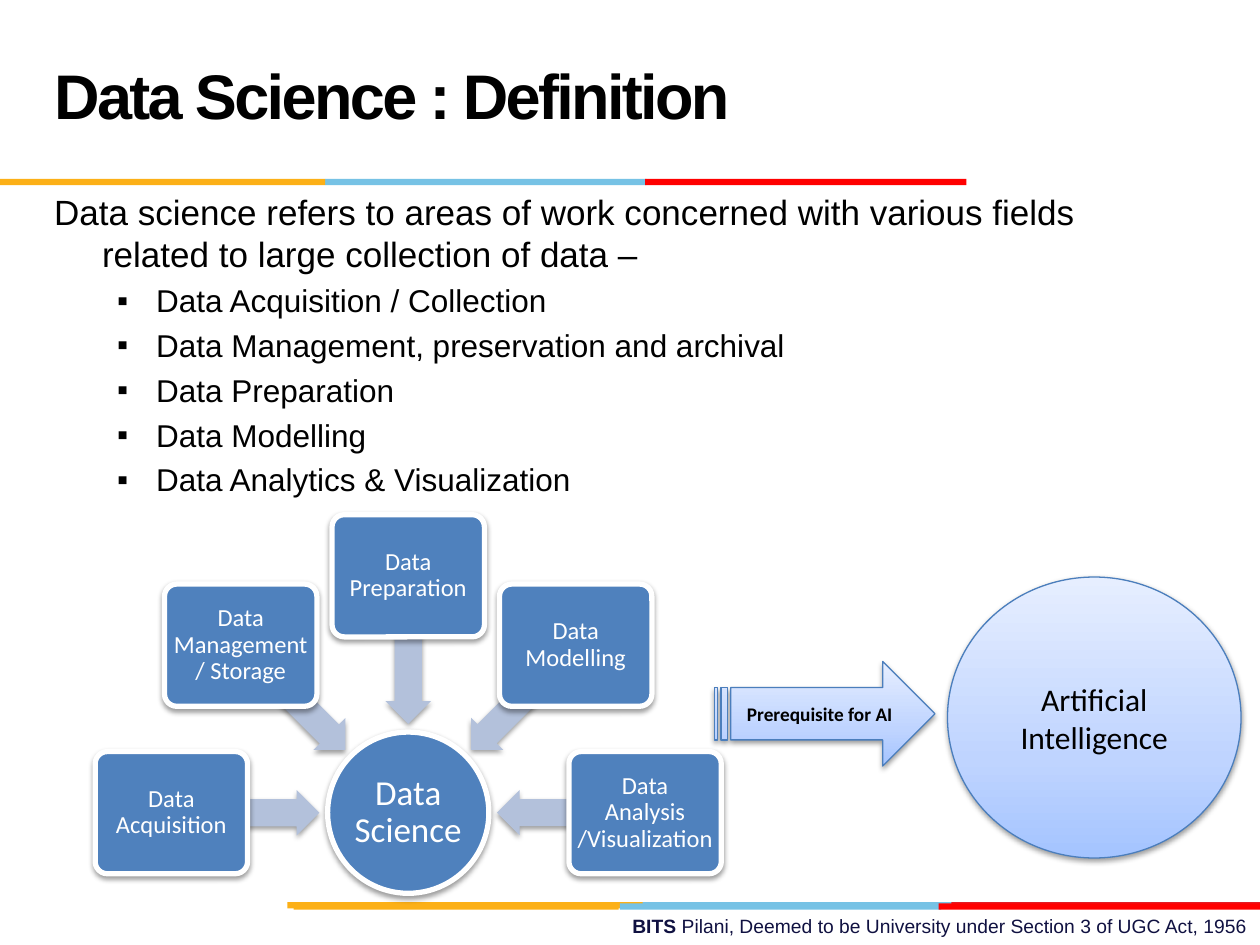
from math import cos, radians, sin

from pptx import Presentation
from pptx.dml.color import RGBColor
from pptx.enum.shapes import MSO_SHAPE as Shape
from pptx.enum.text import MSO_ANCHOR as Anchor, MSO_AUTO_SIZE as AutoSize, PP_ALIGN as Align
from pptx.oxml import parse_xml
from pptx.oxml.ns import nsdecls, qn
from pptx.util import Pt

PX = 9144
COLORS = {
    "black": "000000", "white": "FFFFFF", "navy": "101141",
    "amber": "FCB017", "sky": "76C2E5", "red": "FF0000", "crimson": "E31C24",
    "blue": "4F81BD", "arrow": "B3C1DB", "edge": "4B7EBC",
    "deep": "A4C4FF", "mid": "BFD4FF", "pale": "E6EEFF",
}
BARS = [
    (506, 716, 255, "sky"), (755, 716, 245, "crimson"), (228, 716, 282, "amber"),
    (492, 717, 255, "sky"), (233, 717, 258, "amber"), (745, 717, 255, "red"),
    (258, 142, 255, "sky"), (0, 142, 258, "amber"), (512, 142, 255, "red"),
]
INTRO = ("Data science refers to areas of work concerned with various fields "
         "related to large collection of data –")
TOPICS = [
    "Data Acquisition / Collection",
    "Data Management, preservation and archival",
    "Data Preparation",
    "Data Modelling",
    "Data Analytics & Visualization",
]
STEPS = [
    "Data Acquisition", "Data Management / Storage", "Data Preparation",
    "Data Modelling", "Data Analysis /Visualization",
]
HUB_X, HUB_Y = 324, 645
BOX_RADIUS, ARROW_RADIUS = 188, 129


class SlideBuilder:
    def __init__(self, slide):
        self.slide = slide

    def color(self, name):
        return RGBColor.from_string(COLORS[name])

    def place(self, item, left, top, width, height):
        item.left, item.top = round(left * PX), round(top * PX)
        item.width, item.height = width * PX, height * PX

    def font(self, target, size, color="black", name="Arial", bold=False):
        target.font.size = Pt(size)
        target.font.name = name
        target.font.bold = bold
        target.font.color.rgb = self.color(color)

    def title(self, text, area):
        title = self.slide.shapes.title
        self.place(title, *area)
        frame = title.text_frame
        frame.text = text
        frame.auto_size = AutoSize.NONE
        frame.vertical_anchor = Anchor.MIDDLE
        para = frame.paragraphs[0]
        para.alignment = Align.LEFT
        para.line_spacing = Pt(36)
        self.font(para, 36, bold=True)
        para.runs[0].font._element.set("spc", "-150")

    def body(self, intro, topics, area):
        body = self.slide.placeholders[1]
        self.place(body, *area)
        frame = body.text_frame
        frame.auto_size = AutoSize.NONE
        frame.text = intro
        para = frame.paragraphs[0]
        self.indent(para, 38, -38, "<a:buNone %s/>")
        para.space_before = Pt(0)
        self.font(para, 20)
        for topic in topics:
            para = frame.add_paragraph()
            para.text = topic
            para.level = 1
            self.indent(para, 81, -31, '<a:buChar %s char="▪"/>')
            para.space_before = Pt(4)
            self.font(para, 18)

    def indent(self, para, margin, hanging, bullet):
        properties = para._p.get_or_add_pPr()
        properties.set("marL", str(margin * PX))
        properties.set("indent", str(hanging * PX))
        properties.append(parse_xml(bullet % nsdecls("a")))

    def footer(self, area, lead, rest):
        box = self.slide.shapes.add_textbox(0, 0, 0, 0)
        self.place(box, *area)
        box.text_frame.word_wrap = True
        para = box.text_frame.paragraphs[0]
        para.alignment = Align.RIGHT
        for text, bold in ((lead, True), (rest, False)):
            span = para.add_run()
            span.text = text
            self.font(span, 11, "navy", bold=bold)

    def shape(self, kind, area, fill=None, line=None, weight=0, shadow=True):
        shape = self.slide.shapes.add_shape(kind, 0, 0, 0, 0)
        self.place(shape, *area)
        shape.shadow.inherit = False
        if shadow:
            self.drop_shadow(shape)
        if fill:
            shape.fill.solid()
            shape.fill.fore_color.rgb = self.color(fill)
        else:
            self.gradient(shape)
        if line:
            shape.line.color.rgb = self.color(line)
            shape.line.width = Pt(weight)
        else:
            shape.line.fill.background()
        return shape

    def drop_shadow(self, shape):
        effects = shape._element.spPr.find(qn("a:effectLst"))
        effects.append(parse_xml(
            f'<a:outerShdw {nsdecls("a")} blurRad="{Pt(3.1)}" dist="{Pt(1.6)}" '
            f'dir="5400000" rotWithShape="0"><a:srgbClr val="{COLORS["black"]}">'
            '<a:alpha val="38000"/></a:srgbClr></a:outerShdw>'))

    def gradient(self, shape):
        shape.fill.gradient()
        shape.fill.gradient_angle = 90
        stops = shape._element.spPr.find(".//" + qn("a:gsLst"))
        for stop in list(stops):
            stops.remove(stop)
        for position, name in ((0, "deep"), (35, "mid"), (100, "pale")):
            stops.append(parse_xml(
                f'<a:gs {nsdecls("a")} pos="{position * 1000}">'
                f'<a:srgbClr val="{COLORS[name]}"/></a:gs>'))

    def label(self, shape, text, size, color="black", bold=False, inset=None, spacing=None):
        frame = shape.text_frame
        frame.text = text
        frame.word_wrap = True
        frame.vertical_anchor = Anchor.MIDDLE
        if inset is not None:
            frame.margin_left = frame.margin_right = inset * PX
            frame.margin_top = frame.margin_bottom = inset * PX
        para = frame.paragraphs[0]
        para.alignment = Align.CENTER
        if spacing:
            para.line_spacing = spacing
        self.font(para, size, color, "Calibri", bold)

    def hub(self, text):
        circle = self.shape(Shape.OVAL, (HUB_X - 64, HUB_Y - 64, 128, 128), "blue", "white", 3)
        self.label(circle, text, 20, "white", inset=1, spacing=0.9)

    def around(self, radius, angle, width, height):
        return (HUB_X + radius * cos(radians(angle)) - width / 2,
                HUB_Y + radius * sin(radians(angle)) - height / 2, width, height)

    def spoke(self, text, angle):
        arrow = self.shape(Shape.LEFT_ARROW, self.around(ARROW_RADIUS, angle, 117, 36), "arrow")
        arrow.adjustments[0] = 0.6
        arrow.adjustments[1] = 0.5
        arrow.rotation = angle % 360
        box = self.shape(Shape.ROUNDED_RECTANGLE, self.around(BOX_RADIUS, angle, 121, 97),
                         "blue", "white", 3)
        box.adjustments[0] = 0.1
        self.label(box, text, 14, "white", inset=3, spacing=0.9)


def main():
    deck = Presentation()
    deck.slide_width, deck.slide_height = 1000 * PX, 750 * PX
    page = SlideBuilder(deck.slides.add_slide(deck.slide_layouts[1]))

    page.footer((358, 721, 642, 29), "BITS ",
                "Pilani, Deemed to be University under Section 3 of UGC Act, 1956")
    for left, top, width, color in BARS:
        page.shape(Shape.RECTANGLE, (left, top, width, 5), color, shadow=False)

    page.title("Data Science : Definition", (33, 17, 692, 125))
    page.body(INTRO, TOPICS, (33, 146, 900, 495))

    page.hub("Data Science")
    for index, step in enumerate(STEPS):
        page.spoke(step, 180 + 45 * index)

    goal = page.shape(Shape.OVAL, (752, 458, 233, 223), line="edge", weight=0.75)
    page.label(goal, "Artificial Intelligence", 18)
    link = page.shape(Shape.STRIPED_RIGHT_ARROW, (567, 525, 175, 83), line="edge", weight=0.75)
    page.label(link, "Prerequisite for AI", 11, bold=True)

    deck.save("out.pptx")


if __name__ == "__main__":
    main()
